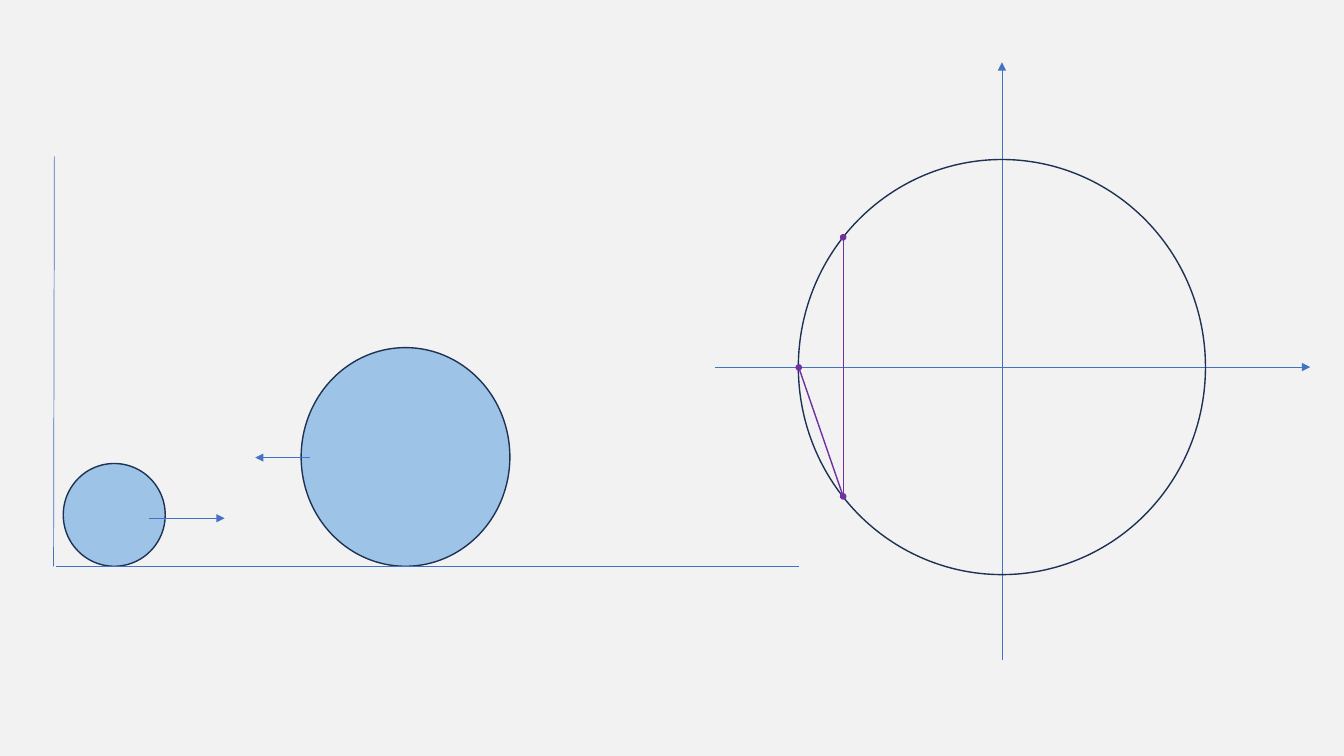
from typing import NamedTuple, Optional

from lxml import etree
from pptx import Presentation
from pptx.dml.color import RGBColor
from pptx.enum.shapes import MSO_CONNECTOR, MSO_SHAPE
from pptx.oxml.ns import qn
from pptx.slide import Slide
from pptx.util import Cm, Pt

STRAIGHT = MSO_CONNECTOR.STRAIGHT
OVAL = MSO_SHAPE.OVAL

BACKGROUND = "F2F2F2"
BLUE = "4472C4"
BALL_BLUE = "9DC3E6"
NAVY = "1E3256"
PURPLE = "7030A0"


class Point(NamedTuple):
    x: float
    y: float


class Ellipse(NamedTuple):
    center: Point
    width: float
    height: float
    fill: Optional[str] = None
    outline: str = NAVY


class Line(NamedTuple):
    start: Point
    end: Point
    color: str = BLUE
    weight: float = 0.5
    arrow: bool = False


def rgb(color: str) -> RGBColor:
    return RGBColor.from_string(color)


def draw_ellipse(page: Slide, ellipse: Ellipse) -> None:
    center, width, height, fill, outline = ellipse
    shape = page.shapes.add_shape(
        OVAL, Cm(center.x - width / 2), Cm(center.y - height / 2), Cm(width), Cm(height)
    )
    shape.shadow.inherit = False
    if fill:
        shape.fill.solid()
        shape.fill.fore_color.rgb = rgb(fill)
    else:
        shape.fill.background()
    shape.line.color.rgb = rgb(outline)
    shape.line.width = Pt(1)


def draw_line(page: Slide, line: Line) -> None:
    start, end = line.start, line.end
    connector = page.shapes.add_connector(
        STRAIGHT, Cm(start.x), Cm(start.y), Cm(end.x), Cm(end.y)
    )
    connector.line.color.rgb = rgb(line.color)
    connector.line.width = Pt(line.weight)
    properties = connector._element.spPr
    if line.arrow:
        etree.SubElement(properties.find(qn("a:ln")), qn("a:tailEnd"), type="triangle")
    etree.SubElement(properties, qn("a:effectLst"))


def standing_ball(x: float, width: float, height: float) -> Ellipse:
    return Ellipse(Point(x, GROUND - height / 2), width, height, BALL_BLUE)


# Balls between the wall and the ground
GROUND = 14.27
BALLS = [standing_ball(10.22, 5.26, 5.51), standing_ball(2.88, 2.57, 2.59)]
WALL_AND_GROUND = [
    Line(Point(1.35, GROUND), Point(1.37, 3.94)),
    Line(Point(1.42, GROUND), Point(20.14, GROUND)),
]
VELOCITIES = [
    Line(Point(7.8, 11.53), Point(6.43, 11.53), arrow=True),
    Line(Point(3.76, 13.06), Point(5.66, 13.06), arrow=True),
]

# Circle on its axes
ORIGIN = Point(25.25, 9.25)
AXES = [
    Line(Point(ORIGIN.x, 16.64), Point(ORIGIN.x, 1.57), arrow=True),
    Line(Point(18.01, ORIGIN.y), Point(33.02, ORIGIN.y), arrow=True),
]
CIRCLE = Ellipse(ORIGIN, 10.26, 10.46)

# Points on the circle, joined in order by chords
DOT_SIZE = 0.13
STATES = [Point(20.13, 9.26), Point(21.25, 12.51), Point(21.25, 5.98)]
CHORDS = [Line(start, end, PURPLE, 1) for start, end in zip(STATES, STATES[1:])]
DOTS = [Ellipse(state, DOT_SIZE, DOT_SIZE, PURPLE, PURPLE) for state in STATES]


def main() -> None:
    deck = Presentation()
    deck.slide_width, deck.slide_height = Cm(33.87), Cm(19.05)
    page = deck.slides.add_slide(deck.slide_layouts[6])
    page.background.fill.solid()
    page.background.fill.fore_color.rgb = rgb(BACKGROUND)

    for ball in BALLS:
        draw_ellipse(page, ball)
    for line in WALL_AND_GROUND + VELOCITIES + AXES:
        draw_line(page, line)
    draw_ellipse(page, CIRCLE)
    for chord in CHORDS:
        draw_line(page, chord)
    for dot in DOTS:
        draw_ellipse(page, dot)

    deck.save("out.pptx")


if __name__ == "__main__":
    main()
